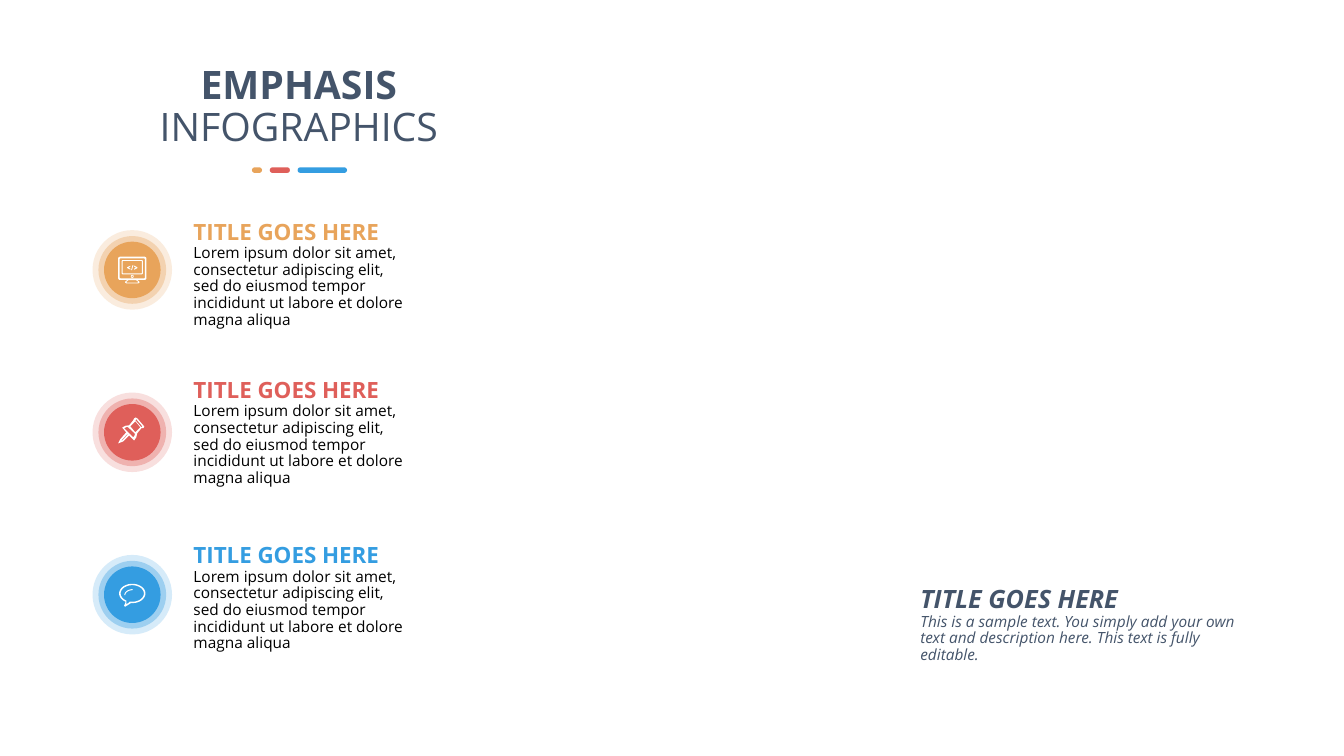
import copy
import math
from dataclasses import dataclass

import lxml.etree
import pptx
import pptx.dml.color
import pptx.enum.shapes
import pptx.enum.text
import pptx.oxml.ns
import pptx.util

Pt = pptx.util.Pt
RGBColor = pptx.dml.color.RGBColor
MSO_SHAPE = pptx.enum.shapes.MSO_SHAPE
Contour = list[tuple[float, float]]
Outline = list[Contour]

ORANGE = RGBColor(0xE8, 0xA4, 0x5B)
RED = RGBColor(0xDF, 0x5F, 0x5A)
BLUE = RGBColor(0x34, 0x9D, 0xE1)
SLATE = RGBColor(0x44, 0x54, 0x6A)
BLACK = RGBColor(0, 0, 0)
WHITE = RGBColor(0xFF, 0xFF, 0xFF)

FONT = "Open Sans"
HEADING = "TITLE GOES HERE"
LOREM = ("Lorem ipsum dolor sit amet, consectetur adipiscing elit, sed do eiusmod "
         "tempor incididunt ut labore et dolore magna aliqua")
SAMPLE = ("This is a sample text. You simply add your own text and description here. "
          "This text is fully editable.")
BADGE_X, FIRST_BADGE_Y, BADGE_STEP = 94.5, 192.8, 116
RINGS = ((56.8, 20), (48.4, 35), (40.4, 100))  # diameter, opacity in percent


@dataclass
class TextBlock:
    left: float
    top: float
    width: float
    height: float
    body: str
    heading_size: float
    heading_color: RGBColor
    body_color: RGBColor
    italic: bool = False


@dataclass
class Item:
    color: RGBColor
    text_top: float
    icon: list[Outline]


@dataclass
class Dash:
    width: float
    color: RGBColor


# Outline geometry, in points from the centre of a badge
def arc(x: float, y: float, rx: float, ry: float, start: int, end: int) -> Contour:
    step = 6 if end > start else -6
    angles = [math.radians(angle) for angle in range(start, end + step, step)]
    return [(x + rx * math.cos(angle), y + ry * math.sin(angle)) for angle in angles]


def rounded(left: float, top: float, right: float, bottom: float, radius: float) -> Contour:
    corners = ((right, bottom, -1, -1), (left, bottom, 1, -1),
               (left, top, 1, 1), (right, top, -1, 1))
    return [point for index, (x, y, dx, dy) in enumerate(corners)
            for point in arc(x + dx * radius, y + dy * radius, radius, radius,
                             90 * index, 90 * index + 90)]


def mirrored(half: Contour) -> Contour:
    return half + [(-x, y) for x, y in reversed(half)]


CHEVRON = [(-3.6, -1.9), (-1.4, -3), (-1.4, -2.3), (-2.7, -1.6), (-1.4, -0.9), (-1.4, -0.2),
           (-3.6, -1.3)]
MONITOR = [
    [rounded(-10.1, -9.4, 10.1, 7.2, 1.4), rounded(-9, -8.2, 9, 6, 0.6)],
    [mirrored([(-3.6, 7.2), (-4.9, 8.2), (-5.2, 9), (-4.2, 9.6)]),
     mirrored([(-2.6, 7.2), (-4, 8.3), (-4.3, 8.8), (-3.8, 9)])],
    [rounded(-7.6, -7, 7.6, 3.2, 0.9), rounded(-6.9, -6.4, 6.9, 2.5, 0.4)],
    [arc(0, 4.6, 1, 1, 0, 360), arc(0, 4.6, 0.5, 0.5, 0, 360)],
    [CHEVRON],
    [[(-x, y) for x, y in CHEVRON]],
    [[(0.2, -3.4), (0.8, -3.4), (-0.2, 0.1), (-0.8, 0.1)]],
]
PUSHPIN = [[
    [(3.6, 0.7), (6.5, -2.9), (7.9, -2.9), (8.6, -4), (7.9, -5), (3.6, -10), (2.5, -10.6),
     (1.4, -10), (0.7, -8.6), (-2.2, -5), (-4.7, -4.7), (-7.2, -3.4), (-4.3, 0), (-8.6, 5),
     (-10.1, 7.9), (-6.5, 6.5), (-2.2, 2.2), (1.4, 5.8), (2.9, 3.6)],
    [(2.9, -9.4), (7.2, -4.3), (6.5, -3.6), (2.2, -8.6)],
    [(2.2, 0), (-1.4, -4.3), (2.2, -7.9), (5.8, -3.6)],
    [(-7.2, 5.8), (-7.9, 5.8), (-3.6, 1.4), (-2.9, 1.4)],
    [(-1.4, 1.4), (-5.8, -2.9), (-3.6, -4), (-2.7, -3.4), (1.7, 0.7), (1.9, 1.9), (0.7, 3.6)],
]]
BUBBLE = [
    [arc(0, -0.9, 9.4, 6.9, 120, 456) + [(-1.9, 6.6), (-5.2, 8.6), (-5.8, 7.9)],
     arc(0, -0.9, 8.3, 5.9, 120, 462) + [(-2.4, 5.6), (-4.3, 6.9)]],
    [arc(0.3, 0.4, 6, 4.3, 180, 270) + arc(0.3, 0.4, 5.3, 3.6, 270, 180)],
]

ITEMS = [Item(ORANGE, 153.4, MONITOR), Item(RED, 266.4, PUSHPIN), Item(BLUE, 384.5, BUBBLE)]
DASHES = [Dash(7.2, ORANGE), Dash(14.4, RED), Dash(35.3, BLUE)]
DASH_LEFT, DASH_TOP, DASH_HEIGHT, DASH_GAP = 180, 119.5, 4, 5.5


def paint(shape: pptx.shapes.autoshape.Shape, color: RGBColor, opacity: int = 100) -> None:
    shape.shadow.inherit = False
    shape.line.fill.background()
    shape.fill.solid()
    shape.fill.fore_color.rgb = color
    if opacity < 100:
        color_element = next(shape.element.iter(pptx.oxml.ns.qn("a:srgbClr")))
        lxml.etree.SubElement(color_element, pptx.oxml.ns.qn("a:alpha"), val=str(opacity * 1000))


def format_run(run: pptx.text.text._Run, size: float, color: RGBColor,
               bold: bool, italic: bool = False) -> None:
    run.font.name = FONT
    run.font.size = Pt(size)
    run.font.color.rgb = color
    run.font.bold = bold
    run.font.italic = italic


def draw_badge(slide: pptx.slide.Slide, item: Item, y: float) -> None:
    shapes = slide.shapes.add_group_shape().shapes
    for diameter, opacity in RINGS:
        ring = shapes.add_shape(MSO_SHAPE.OVAL, Pt(BADGE_X - diameter / 2), Pt(y - diameter / 2),
                                Pt(diameter), Pt(diameter))
        paint(ring, item.color, opacity)
    for outline in item.icon:
        contours = [[(Pt(BADGE_X + dx), Pt(y + dy)) for dx, dy in contour]
                    for contour in outline]
        builder = shapes.build_freeform(*contours[0][0])
        for index, contour in enumerate(contours):
            if index:
                builder.move_to(*contour[0])
            builder.add_line_segments(contour[1:], close=True)
        paint(builder.convert_to_shape(), WHITE)


def draw_text(slide: pptx.slide.Slide, block: TextBlock) -> None:
    box = slide.shapes.add_textbox(Pt(block.left), Pt(block.top), Pt(block.width),
                                   Pt(block.height))
    frame = box.text_frame
    frame.word_wrap = True
    frame.auto_size = pptx.enum.text.MSO_AUTO_SIZE.SHAPE_TO_FIT_TEXT
    frame.vertical_anchor = pptx.enum.text.MSO_ANCHOR.MIDDLE
    frame.margin_left = frame.margin_top = frame.margin_right = frame.margin_bottom = 0
    paragraph = frame.paragraphs[0]
    paragraph.text = f"{HEADING}\v{block.body}"
    paragraph.line_spacing = 0.9
    paragraph.space_after = Pt(12)
    heading, body = paragraph.runs
    format_run(heading, block.heading_size, block.heading_color, True, block.italic)
    format_run(body, 11, block.body_color, False, block.italic)
    # The line break takes the size of the heading
    line_break = paragraph._p.find(pptx.oxml.ns.qn("a:br"))
    line_break.append(copy.deepcopy(heading._r.rPr))


def draw_title(slide: pptx.slide.Slide) -> None:
    title = slide.shapes.title
    title.left, title.top, title.width, title.height = Pt(105.8), Pt(43.2), Pt(215.3), Pt(74.9)
    frame = title.text_frame
    frame.text = "EMPHASIS\nINFOGRAPHICS"
    frame.word_wrap = False
    frame.auto_size = pptx.enum.text.MSO_AUTO_SIZE.SHAPE_TO_FIT_TEXT
    frame.vertical_anchor = pptx.enum.text.MSO_ANCHOR.TOP
    for paragraph, bold in zip(frame.paragraphs, (True, False)):
        paragraph.alignment = pptx.enum.text.PP_ALIGN.CENTER
        paragraph.line_spacing = 0.9
        format_run(paragraph.runs[0], 28, SLATE, bold)


def main() -> None:
    presentation = pptx.Presentation()
    presentation.slide_width, presentation.slide_height = Pt(960), Pt(540)
    slide = presentation.slides.add_slide(presentation.slide_layouts[5])

    # Title with its three dashes
    draw_title(slide)
    left = DASH_LEFT
    for dash in DASHES:
        shape = slide.shapes.add_shape(MSO_SHAPE.ROUNDED_RECTANGLE, Pt(left), Pt(DASH_TOP),
                                       Pt(dash.width), Pt(DASH_HEIGHT))
        shape.adjustments[0] = 0.5
        paint(shape, dash.color)
        left += dash.width + DASH_GAP

    # Badges and their descriptions
    for index, item in enumerate(ITEMS):
        draw_badge(slide, item, FIRST_BADGE_Y + index * BADGE_STEP)
        draw_text(slide, TextBlock(138.2, item.text_top, 157, 85.7, LOREM, 16, item.color, BLACK))

    # Closing caption
    draw_text(slide, TextBlock(657.4, 422.6, 236.9, 48.2, SAMPLE, 18, SLATE, SLATE, True))

    presentation.save("out.pptx")


if __name__ == "__main__":
    main()
